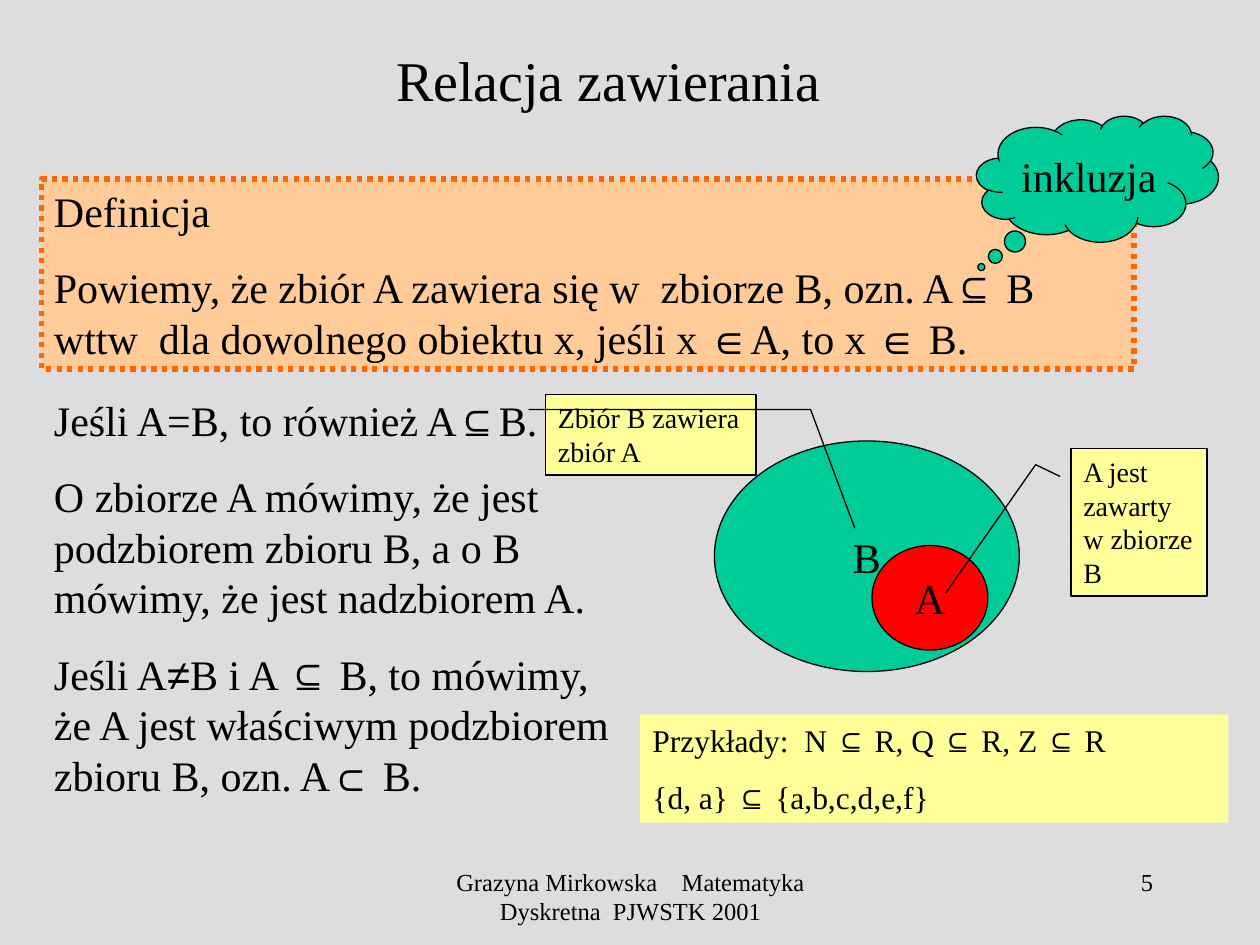
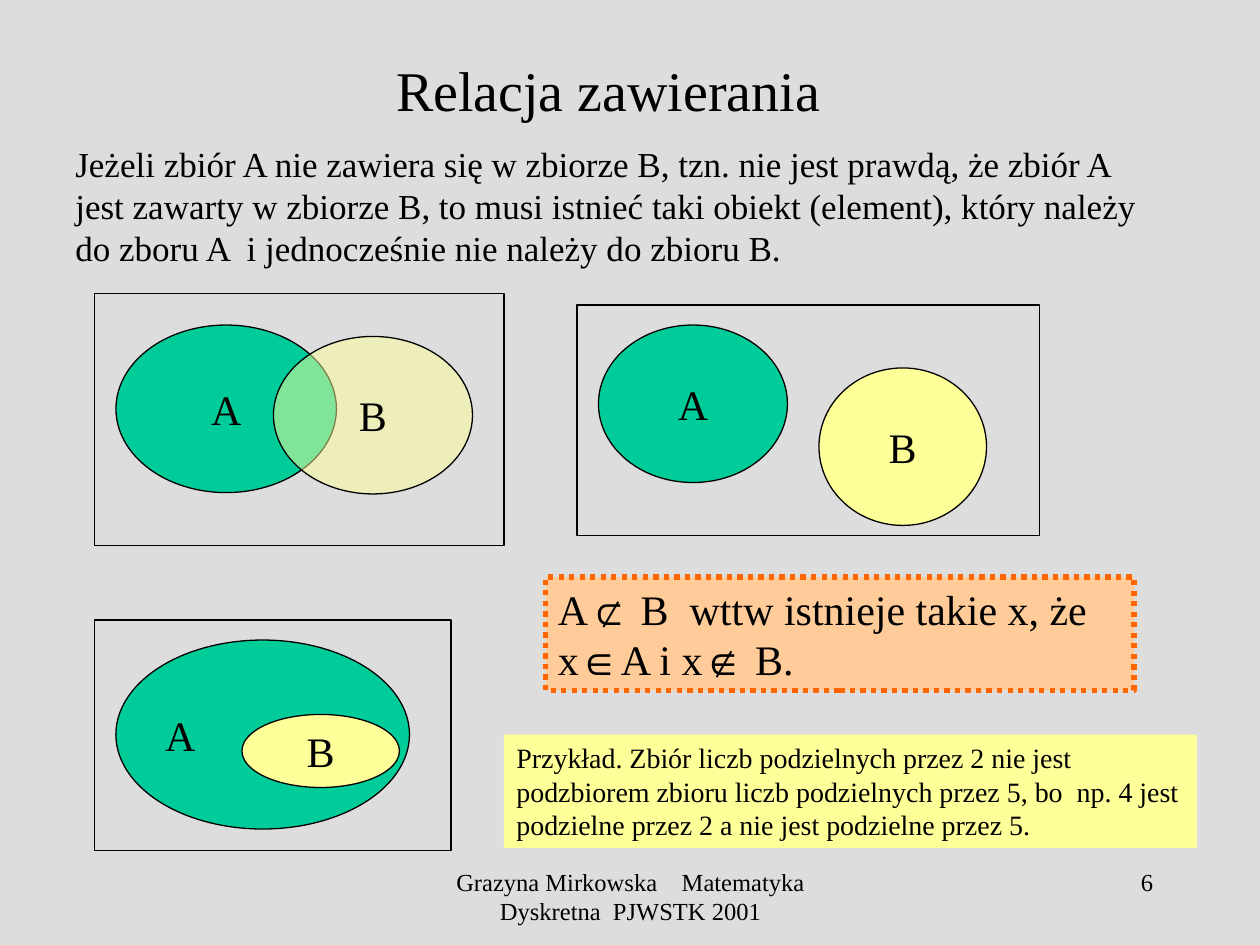
from dataclasses import dataclass
from itertools import groupby

from lxml import etree
from pptx import Presentation
from pptx.dml.color import RGBColor
from pptx.enum import dml, shapes, text
from pptx.oxml import ns
from pptx.util import Inches, Pt

SHAPE = shapes.MSO_SHAPE
ALIGN = text.PP_ALIGN
ANCHOR = text.MSO_ANCHOR


@dataclass(frozen=True)
class Theme:
    background: str = "DDDDDD"
    ink: str = "000000"
    green: str = "00CC99"
    red: str = "FF0000"
    yellow: str = "FFFF99"
    peach: str = "FFCC99"
    orange: str = "FF6600"
    font: str = "Times New Roman"
    symbol_font: str = "Arial"
    symbols: str = "⊆⊂⊄∈∉≠"
    title: float = 32
    body: float = 24
    explanation: float = 20
    examples: float = 18
    note: float = 16
    footer: float = 14
    thin: float = 0.75
    thick: float = 3


THEME = Theme()
TITLE = "Relacja zawierania"
FOOTER = "Grazyna Mirkowska    Matematyka Dyskretna  PJWSTK 2001"


@dataclass(frozen=True)
class Box:
    left: float
    top: float
    width: float
    height: float

    def lengths(self):
        return [Inches(side) for side in (self.left, self.top, self.width, self.height)]


@dataclass(frozen=True)
class Style:
    size: float = THEME.body
    align: ALIGN = ALIGN.LEFT
    anchor: ANCHOR = ANCHOR.TOP
    gap: float = 0
    wrap: bool = True


BODY = Style(gap=15)
LABEL = Style(align=ALIGN.CENTER, anchor=ANCHOR.MIDDLE, wrap=False)
NOTE = Style(THEME.note)


@dataclass(frozen=True)
class SetOval:
    """One set of a Venn diagram."""
    label: str
    box: Box
    fill: str
    opacity: int = 100


@dataclass(frozen=True)
class Callout:
    words: str
    box: Box
    bends: tuple[float, ...]


def write(shape, paragraphs: list[str], style: Style) -> None:
    """Fill a shape with text, setting mathematical symbols in their own font."""
    frame = shape.text_frame
    frame.word_wrap = style.wrap
    frame.vertical_anchor = style.anchor
    for index, words in enumerate(paragraphs):
        paragraph = frame.add_paragraph() if index else frame.paragraphs[0]
        paragraph.alignment = style.align
        if index:
            paragraph.space_before = Pt(style.gap)
        for is_symbol, letters in groupby(words, lambda letter: letter in THEME.symbols):
            run = paragraph.add_run()
            run.text = "".join(letters)
            run.font.name = THEME.symbol_font if is_symbol else THEME.font
            run.font.size = Pt(style.size)
            run.font.color.rgb = RGBColor.from_string(THEME.ink)


def add_text(slide, box: Box, paragraphs: list[str], style: Style) -> None:
    write(slide.shapes.add_textbox(*box.lengths()), paragraphs, style)


def add_figure(slide, kind: SHAPE, box: Box, fill: str | None = None,
               line: str | None = THEME.ink, weight: float = THEME.thin):
    figure = slide.shapes.add_shape(kind, *box.lengths())
    figure.shadow.inherit = False
    if fill:
        figure.fill.solid()
        figure.fill.fore_color.rgb = RGBColor.from_string(fill)
    else:
        figure.fill.background()
    if line:
        figure.line.color.rgb = RGBColor.from_string(line)
        figure.line.width = Pt(weight)
    else:
        figure.line.fill.background()
    return figure


def add_definition(slide, box: Box, paragraphs: list[str]) -> None:
    panel = add_figure(slide, SHAPE.RECTANGLE, box, THEME.peach, THEME.orange, THEME.thick)
    panel.line.dash_style = dml.MSO_LINE.ROUND_DOT
    write(panel, paragraphs, BODY)


def add_example(slide, box: Box, paragraphs: list[str], style: Style) -> None:
    write(add_figure(slide, SHAPE.RECTANGLE, box, THEME.yellow, None), paragraphs, style)


def add_oval(slide, oval: SetOval, style: Style = LABEL):
    figure = add_figure(slide, SHAPE.OVAL, oval.box, oval.fill)
    if oval.opacity < 100:
        color = figure.fill._xPr.find(f".//{ns.qn('a:srgbClr')}")
        etree.SubElement(color, ns.qn("a:alpha"), val=str(oval.opacity * 1000))
    write(figure, [oval.label], style)
    return figure


def add_callout(slide, kind: SHAPE, callout: Callout, fill: str, style: Style) -> None:
    figure = add_figure(slide, kind, callout.box, fill)
    for index, bend in enumerate(callout.bends):
        figure.adjustments[index] = bend
    write(figure, [callout.words], style)


def start_slide(deck, number: int, title_box: Box):
    """Add a slide with its background, title, footer and number."""
    slide = deck.slides.add_slide(deck.slide_layouts[6])
    slide.background.fill.solid()
    slide.background.fill.fore_color.rgb = RGBColor.from_string(THEME.background)
    add_text(slide, title_box, [TITLE], Style(THEME.title, ALIGN.CENTER, ANCHOR.MIDDLE))
    add_text(slide, Box(3.42, 6.83, 3.17, 0.5), [FOOTER], Style(THEME.footer, ALIGN.CENTER))
    add_text(slide, Box(7.17, 6.83, 2.08, 0.5), [str(number)], Style(THEME.footer, ALIGN.RIGHT))
    return slide


def build_inclusion(deck) -> None:
    slide = start_slide(deck, 5, Box(0.58, 0, 8.5, 1.25))
    add_definition(slide, Box(0.33, 1.42, 8.67, 1.51), [
        "Definicja",
        "Powiemy, że zbiór A zawiera się w  zbiorze B, ozn. A⊆ B "
        "wttw  dla dowolnego obiektu x, jeśli x ∈A, to x ∈ B.",
    ])
    add_text(slide, Box(0.33, 3.08, 4.67, 3.32), [
        "Jeśli A=B, to również A⊆B.",
        "O zbiorze A mówimy, że jest podzbiorem zbioru B, a o B mówimy, że jest nadzbiorem A.",
        "Jeśli A≠B i A ⊆ B, to mówimy, że A jest właściwym podzbiorem zbioru B, ozn. A⊂ B.",
    ], BODY)
    inclusion = Callout("inkluzja", Box(7.75, 0.92, 1.92, 1), (-0.48, 0.7))
    add_callout(slide, SHAPE.CLOUD_CALLOUT, inclusion, THEME.green, LABEL)
    for oval in (
        SetOval("B", Box(5.67, 3.5, 2.42, 1.83), THEME.green),
        SetOval("A", Box(6.92, 4.33, 0.92, 0.83), THEME.red),
    ):
        add_oval(slide, oval)
    add_example(slide, Box(5.08, 5.67, 4.67, 0.86), [
        "Przykłady:  N ⊆ R, Q ⊆ R, Z ⊆ R",
        "{d, a} ⊆ {a,b,c,d,e,f}",
    ], Style(THEME.examples, gap=11.2))
    for callout in (
        Callout("A jest zawarty w zbiorze B", Box(8.5, 3.56, 1.08, 1.17),
                (0.19, -0.08, 0.11, -0.26, 0.98, -0.92)),
        Callout("Zbiór B zawiera zbiór A", Box(4.33, 3.13, 1.67, 0.64),
                (0.19, -0.08, 0.19, 1.26, 1.66, 1.47)),
    ):
        add_callout(slide, SHAPE.LINE_CALLOUT_2, callout, THEME.yellow, NOTE)


def build_non_inclusion(deck) -> None:
    slide = start_slide(deck, 6, Box(0.58, 0.42, 8.5, 0.58))
    add_text(slide, Box(0.5, 1.08, 8.83, 1.1), [
        "Jeżeli zbiór A nie zawiera się w zbiorze B, tzn. nie jest prawdą, że zbiór A jest "
        "zawarty w zbiorze B, to musi istnieć taki obiekt (element), który należy do zboru A  "
        "i jednocześnie nie należy do zbioru B.",
    ], Style(THEME.explanation))
    for universe in (
        Box(0.75, 2.33, 3.25, 2),
        Box(4.58, 2.42, 3.67, 1.83),
        Box(0.75, 4.92, 2.83, 1.83),
    ):
        add_figure(slide, SHAPE.RECTANGLE, universe)
    for oval in (
        SetOval("A", Box(0.92, 2.58, 1.75, 1.33), THEME.green),
        SetOval("B", Box(2.17, 2.67, 1.58, 1.25), THEME.yellow, opacity=50),
        SetOval("A", Box(4.75, 2.58, 1.5, 1.25), THEME.green),
        SetOval("B", Box(6.5, 2.92, 1.33, 1.25), THEME.yellow),
    ):
        add_oval(slide, oval)
    superset = SetOval("A", Box(0.92, 5.08, 2.33, 1.5), THEME.green)
    superset_figure = add_oval(slide, superset, Style(anchor=ANCHOR.MIDDLE))
    superset_figure.text_frame.margin_left = Inches(0.05)
    add_oval(slide, SetOval("B", Box(1.92, 5.67, 1.25, 0.58), THEME.yellow))
    add_definition(slide, Box(4.33, 4.58, 4.67, 0.9), [
        "A⊄ B  wttw istnieje takie x, że x∈A i x∉ B.",
    ])
    add_example(slide, Box(4, 5.83, 5.5, 0.9), [
        "Przykład. Zbiór liczb podzielnych przez 2 nie jest podzbiorem zbioru liczb "
        "podzielnych przez 5, bo  np. 4 jest podzielne przez 2 a nie jest podzielne przez 5.",
    ], NOTE)


def main() -> None:
    deck = Presentation()
    deck.slide_width, deck.slide_height = Inches(10), Inches(7.5)
    build_inclusion(deck)
    build_non_inclusion(deck)
    deck.save("out.pptx")


if __name__ == "__main__":
    main()
